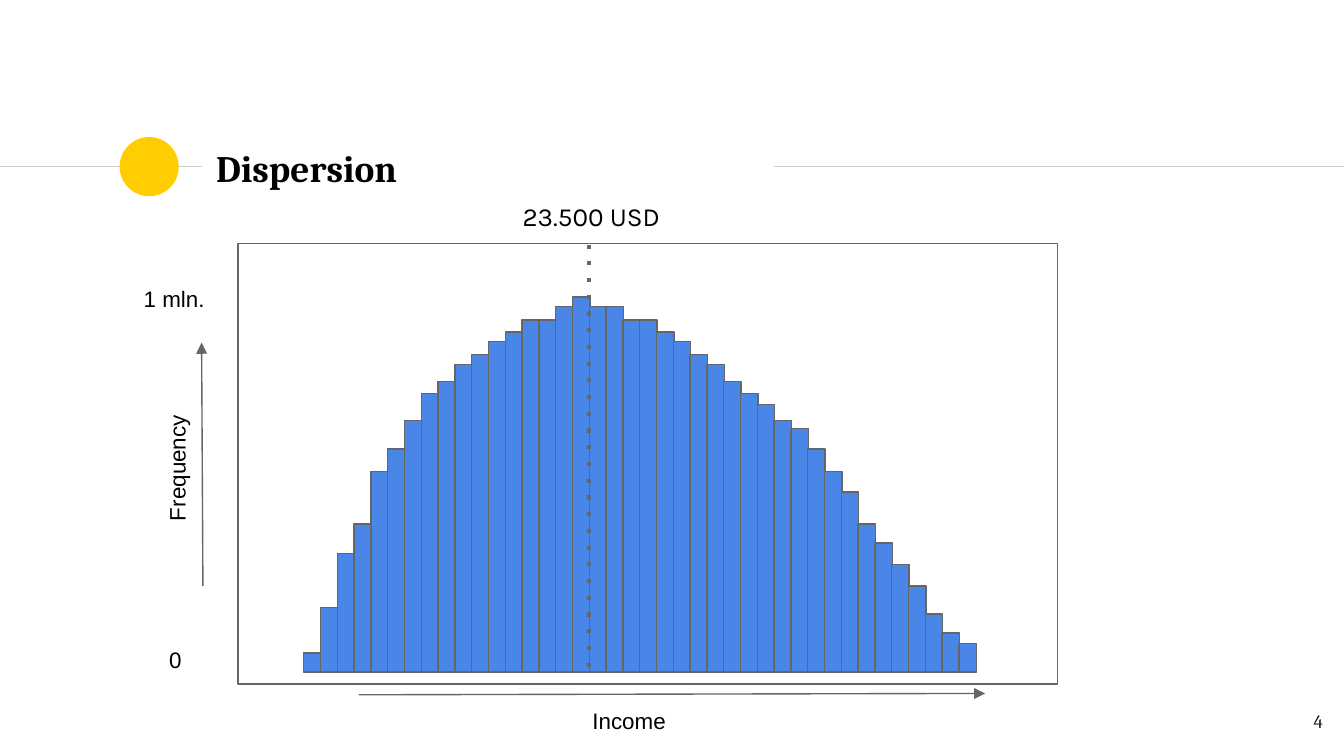
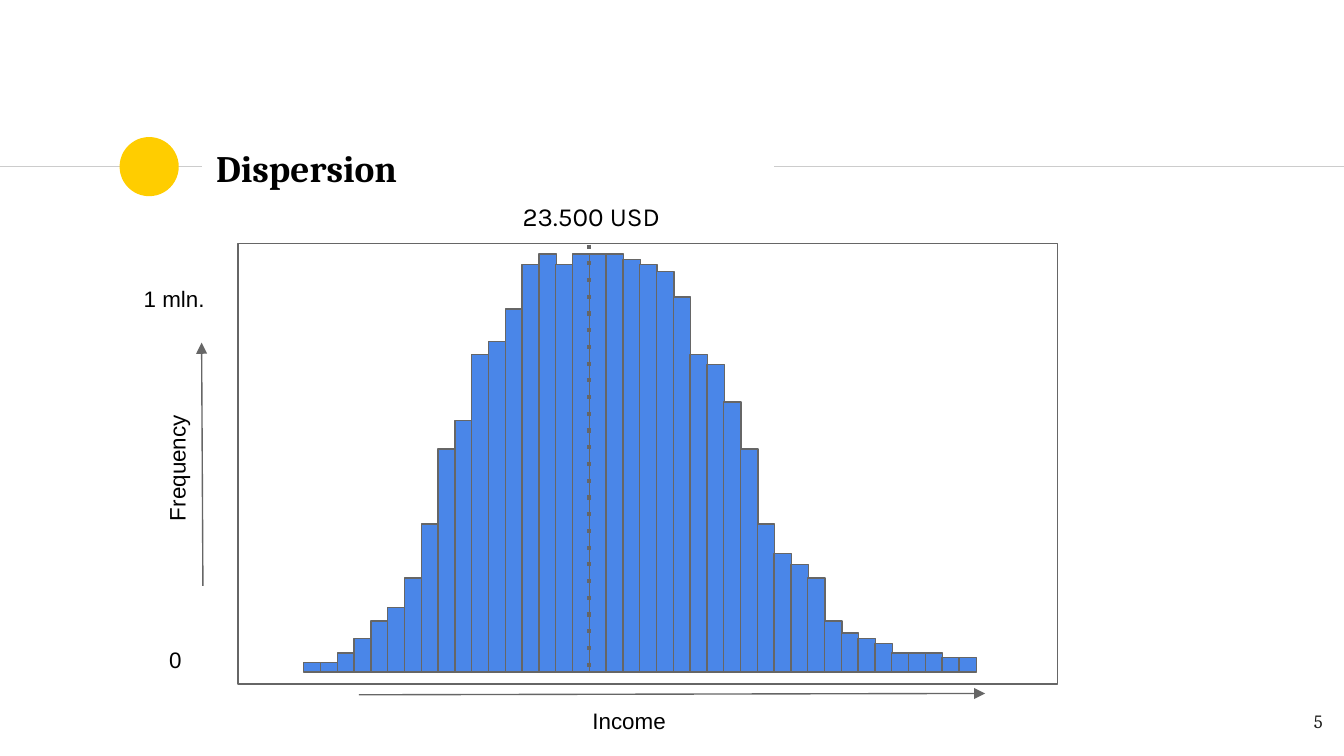
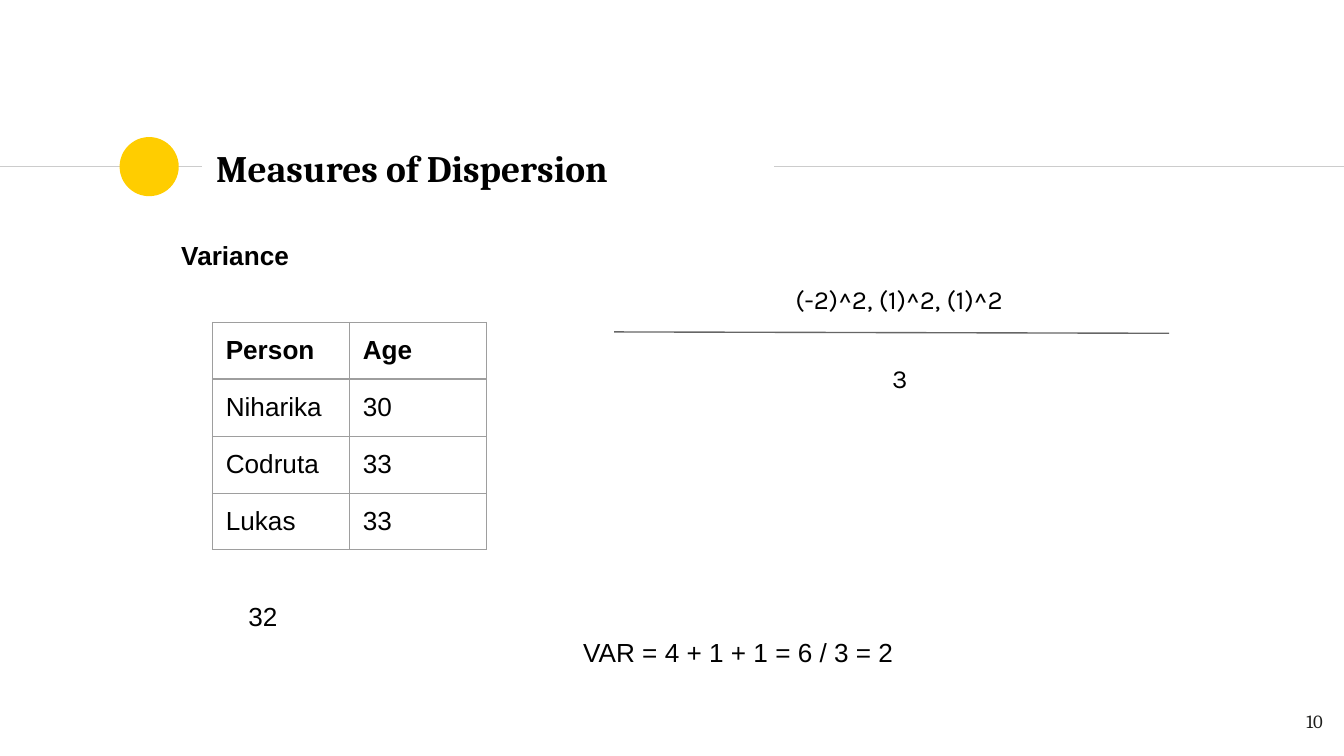
from dataclasses import dataclass

from lxml.etree import SubElement
from pptx import Presentation
from pptx.dml.color import RGBColor
from pptx.enum.shapes import MSO_CONNECTOR, MSO_SHAPE
from pptx.enum.text import MSO_ANCHOR, PP_ALIGN
from pptx.oxml.ns import qn
from pptx.util import Inches, Pt

BLACK = RGBColor(0x00, 0x00, 0x00)
INK = RGBColor(0x1D, 0x1D, 0x1B)
GRAY = RGBColor(0x66, 0x66, 0x66)
RULE_GRAY = RGBColor(0xCC, 0xCC, 0xCC)
BORDER_GRAY = RGBColor(0x9E, 0x9E, 0x9E)
YELLOW = RGBColor(0xFF, 0xCD, 0x00)
BLUE = RGBColor(0x4A, 0x86, 0xE8)

SLIDE_WIDTH = Inches(10)
SLIDE_HEIGHT = SLIDE_WIDTH * 9 // 16
INSET = Inches(0.1)
THIN = 0.75
BAR_LEFT, BAR_BASE, BAR_PITCH, BAR_WIDTH = 2.26, 5.0, 0.125, 0.13


@dataclass(frozen=True)
class Style:
    font: str = "Arial"
    size: int = 12
    bold: bool = False
    color: RGBColor = BLACK


AXIS = Style()
BODY = Style(size=14)
HEADING = Style(size=14, bold=True)
FORMULA = Style("Karla", 14)
TITLE = Style("Cambria", 20, bold=True)
PAGE_NUMBER = Style("Cambria", 10, color=INK)


@dataclass(frozen=True)
class Label:
    text: str
    left: float
    top: float
    width: float
    height: float
    style: Style = AXIS
    indent: float = 0
    rotation: int = 0
    align: PP_ALIGN = PP_ALIGN.LEFT
    anchor: MSO_ANCHOR = MSO_ANCHOR.TOP


@dataclass(frozen=True)
class Line:
    start: tuple[float, float]
    end: tuple[float, float]
    color: RGBColor = GRAY
    weight: float = THIN
    arrow: bool = False
    dotted: bool = False


@dataclass(frozen=True)
class Histogram:
    page: int
    heights: list[float]


HEADER_RULES = [
    Line((0, 1.24), (1.5, 1.24), RULE_GRAY),
    Line((5.76, 1.24), (10, 1.24), RULE_GRAY),
]
AXIS_ARROWS = [
    Line((1.51, 4.36), (1.5, 2.55), arrow=True),
    Line((2.67, 5.17), (7.33, 5.16), arrow=True),
]
MEAN_LINE = Line((4.38, 1.82), (4.38, 5.02), weight=2.25, dotted=True)
HISTOGRAM_LABELS = [
    Label("Income", 4.31, 5.16, 2.62, 0.38),
    Label("Frequency", 0.78, 3.26, 1.05, 0.38, rotation=270),
    Label("1 mln.", 0.97, 2.02, 0.79, 0.38),
    Label("0", 1.16, 4.71, 0.79, 0.38),
    Label("23.500 USD", 3.79, 1.39, 1.3, 0.28, FORMULA),
]
HISTOGRAMS = [
    Histogram(4, [
        0.14, 0.48, 0.88, 1.1, 1.49, 1.66, 1.87, 2.07, 2.16, 2.29,
        2.36, 2.46, 2.53, 2.62, 2.62, 2.72, 2.79, 2.72, 2.72, 2.62,
        2.62, 2.53, 2.46, 2.36, 2.29, 2.16, 2.07, 1.99, 1.87, 1.81,
        1.66, 1.49, 1.34, 1.1, 0.96, 0.8, 0.64, 0.43, 0.29, 0.21,
    ]),
    Histogram(5, [
        0.07, 0.07, 0.14, 0.25, 0.38, 0.48, 0.7, 1.1, 1.66, 1.87,
        2.36, 2.46, 2.7, 3.03, 3.11, 3.03, 3.11, 3.11, 3.11, 3.07,
        3.03, 2.98, 2.79, 2.36, 2.29, 2.01, 1.66, 1.1, 0.88, 0.8,
        0.7, 0.38, 0.29, 0.25, 0.21, 0.14, 0.14, 0.14, 0.11, 0.11,
    ]),
]

FRACTION_LINE = Line((4.57, 2.47), (8.7, 2.48))
FRACTION_LABELS = [
    Label("(-2)^2, (1)^2, (1)^2", 3.97, 2.01, 5.65, 0.33, FORMULA, indent=1.85),
    Label("3", 5.89, 2.6, 1.8, 0.33, FORMULA, indent=0.65),
]
AGES = [("Person", "Age"), ("Niharika", "30"), ("Codruta", "33"), ("Lukas", "33")]
AGE_ROW_HEIGHTS = [0.42, 0.43, 0.42, 0.42]
AGE_COLUMN_WIDTH = 1.02


def style_paragraph(paragraph, style: Style, indent: float = 0) -> None:
    for run in paragraph.runs:
        run.font.name = style.font
        run.font.size = Pt(style.size)
        run.font.bold = style.bold
        run.font.color.rgb = style.color
    if indent:
        properties = paragraph._p.get_or_add_pPr()
        properties.set("marL", str(Inches(indent)))
        properties.set("indent", "0")


def add_label(slide, label: Label):
    box = slide.shapes.add_textbox(
        Inches(label.left), Inches(label.top), Inches(label.width), Inches(label.height))
    box.rotation = label.rotation
    frame = box.text_frame
    frame.word_wrap = True
    frame.vertical_anchor = label.anchor
    frame.margin_left = frame.margin_right = INSET
    frame.margin_top = frame.margin_bottom = INSET
    frame.text = label.text
    frame.paragraphs[0].alignment = label.align
    style_paragraph(frame.paragraphs[0], label.style, label.indent)
    return box


def add_line(slide, line: Line) -> None:
    points = [Inches(value) for value in (*line.start, *line.end)]
    connector = slide.shapes.add_connector(MSO_CONNECTOR.STRAIGHT, *points)
    connector.line.color.rgb = line.color
    connector.line.width = Pt(line.weight)
    outline = connector.line._get_or_add_ln()
    if line.dotted:
        SubElement(outline, qn("a:prstDash"), val="dot")
    if line.arrow:
        SubElement(outline, qn("a:tailEnd"), type="triangle")
    SubElement(connector._element.spPr, qn("a:effectLst"))


def add_panel(slide, kind: MSO_SHAPE, left: float, top: float, width: float, height: float,
              fill: RGBColor | None = None, outline: RGBColor | None = None) -> None:
    shape = slide.shapes.add_shape(
        kind, Inches(left), Inches(top), Inches(width), Inches(height))
    shape.shadow.inherit = False
    if fill is None:
        shape.fill.background()
    else:
        shape.fill.solid()
        shape.fill.fore_color.rgb = fill
    if outline is None:
        shape.line.fill.background()
    else:
        shape.line.color.rgb = outline
        shape.line.width = Pt(THIN)


def add_titled_slide(presentation, title: str, page: int):
    slide = presentation.slides.add_slide(presentation.slide_layouts[6])
    for rule in HEADER_RULES:
        add_line(slide, rule)
    add_panel(slide, MSO_SHAPE.OVAL, 0.89, 1.02, 0.44, 0.44, fill=YELLOW)
    add_label(slide, Label(title, 1.51, 1.01, 4.24, 0.48, TITLE, anchor=MSO_ANCHOR.MIDDLE))
    add_label(slide, Label(str(page), 9.34, 5.2, 0.6, 0.43, PAGE_NUMBER,
                           align=PP_ALIGN.RIGHT))
    return slide


def add_histogram_slide(presentation, histogram: Histogram) -> None:
    slide = add_titled_slide(presentation, "Dispersion", histogram.page)
    add_panel(slide, MSO_SHAPE.RECTANGLE, 1.77, 1.81, 6.1, 3.28, outline=GRAY)
    for arrow in AXIS_ARROWS:
        add_line(slide, arrow)
    for index, height in enumerate(histogram.heights):
        add_panel(slide, MSO_SHAPE.RECTANGLE, BAR_LEFT + index * BAR_PITCH,
                  BAR_BASE - height, BAR_WIDTH, height, BLUE, GRAY)
    add_line(slide, MEAN_LINE)
    for label in HISTOGRAM_LABELS:
        add_label(slide, label)


def set_cell_borders(cell) -> None:
    """Draw all four borders; they must precede the fill in the cell properties."""
    properties = cell._tc.get_or_add_tcPr()
    for side in ("a:lnL", "a:lnR", "a:lnT", "a:lnB"):
        border = SubElement(properties, qn(side), w=str(Pt(THIN)))
        fill = SubElement(border, qn("a:solidFill"))
        SubElement(fill, qn("a:srgbClr"), val=str(BORDER_GRAY))


def add_age_table(slide) -> None:
    table = slide.shapes.add_table(
        len(AGES), 2, Inches(1.58), Inches(2.4),
        Inches(2 * AGE_COLUMN_WIDTH), Inches(sum(AGE_ROW_HEIGHTS))).table
    table.first_row = table.horz_banding = False
    for column in table.columns:
        column.width = Inches(AGE_COLUMN_WIDTH)
    for row_index, values in enumerate(AGES):
        table.rows[row_index].height = Inches(AGE_ROW_HEIGHTS[row_index])
        for column_index, value in enumerate(values):
            cell = table.cell(row_index, column_index)
            cell.margin_left = cell.margin_right = cell.margin_top = INSET
            cell.margin_bottom = Inches(0.08)
            cell.text_frame.text = value
            style_paragraph(cell.text_frame.paragraphs[0], BODY if row_index else HEADING)
            set_cell_borders(cell)
            cell.fill.background()


def add_variance_slide(presentation) -> None:
    slide = add_titled_slide(presentation, "Measures of Dispersion", 10)
    body = add_label(slide, Label("Variance", 1.25, 1.68, 7.31, 3.46, HEADING))
    results = [("32", 0.5, 174), ("VAR = 4 + 1 + 1 = 6 / 3 = 2", 2.99, 0)]
    for text, indent, space_before in results:
        paragraph = body.text_frame.add_paragraph()
        paragraph.text = text
        paragraph.line_spacing = 1.15
        paragraph.space_before = Pt(space_before)
        style_paragraph(paragraph, BODY, indent)
    add_age_table(slide)
    add_line(slide, FRACTION_LINE)
    for label in FRACTION_LABELS:
        add_label(slide, label)


def main() -> None:
    presentation = Presentation()
    presentation.slide_width = SLIDE_WIDTH
    presentation.slide_height = SLIDE_HEIGHT
    for histogram in HISTOGRAMS:
        add_histogram_slide(presentation, histogram)
    add_variance_slide(presentation)
    presentation.save("out.pptx")


if __name__ == "__main__":
    main()
